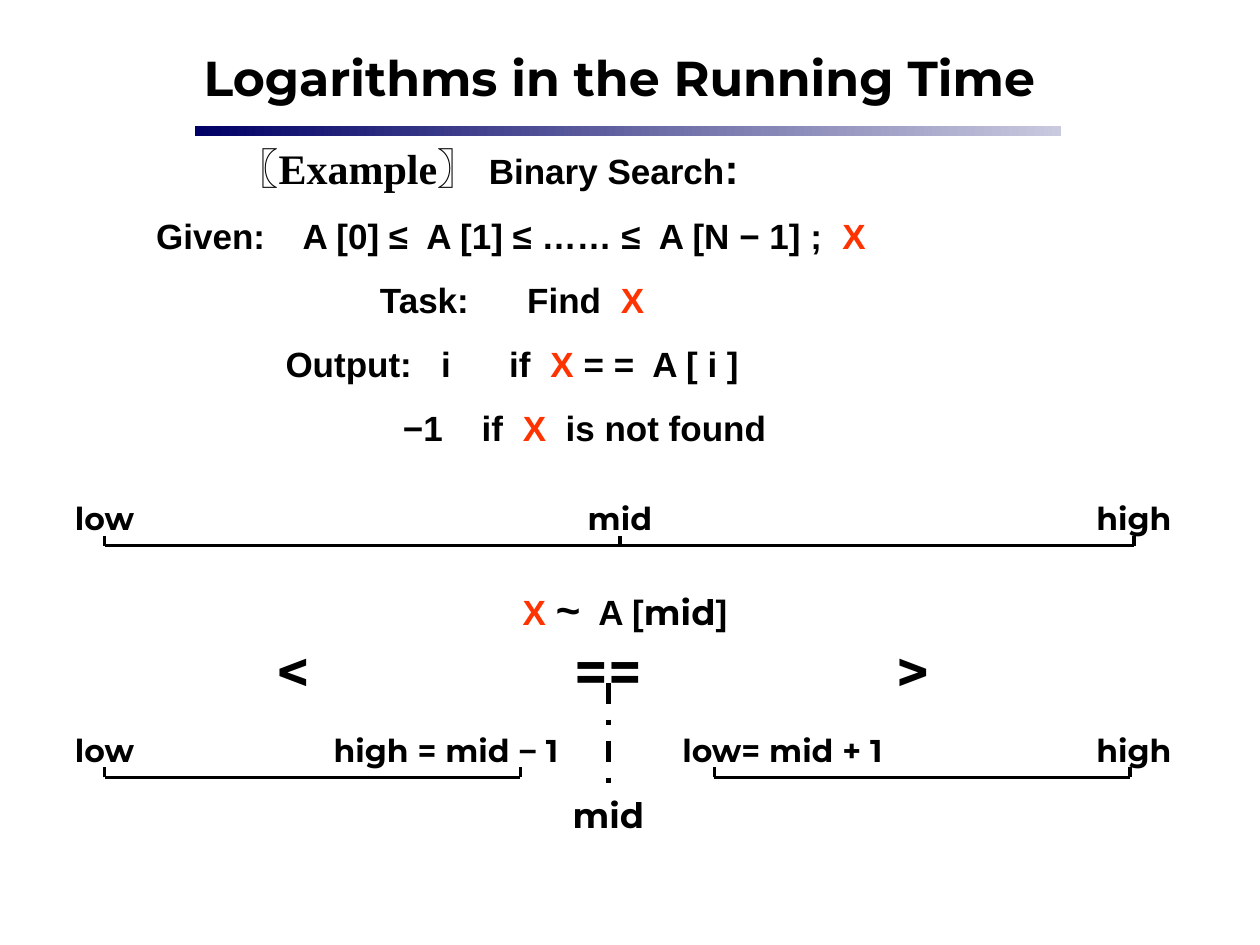
from lxml import etree
from pptx import Presentation
from pptx.dml.color import RGBColor
from pptx.enum.dml import MSO_LINE
from pptx.enum.shapes import MSO_CONNECTOR, MSO_SHAPE
from pptx.enum.text import MSO_ANCHOR, MSO_AUTO_SIZE, PP_ALIGN
from pptx.oxml.ns import qn
from pptx.util import Inches, Pt

STRAIGHT = MSO_CONNECTOR.STRAIGHT
RECTANGLE = MSO_SHAPE.RECTANGLE
DASH_DOT = MSO_LINE.DASH_DOT
TOP = MSO_ANCHOR.TOP
NO_AUTOFIT = MSO_AUTO_SIZE.NONE
CENTER = PP_ALIGN.CENTER

HEADING, BODY, SERIF = "Montserrat", "Arial", "Times New Roman"
BLACK, RED = "000000", "FF3300"
NAVY, PALE = "000066", "C9C9DF"
TICK = 0.08
LABEL_RISE = 0.42


def plain(text, size=20, font=BODY, color=BLACK):
    return text, size, font, color


def heading(text, size=18):
    return plain(text, size, HEADING)


def key(text="X"):
    return plain(text, color=RED)


TITLE = [heading("Logarithms in the Running Time", 28)]

PROBLEM = [
    (0, 0, [plain("〖Example〗 ", 24, SERIF), plain("Binary Search"), plain(":", 24)]),
    (0.37, 12.5, [plain("Given:    A [0] ≤  A [1] ≤ …… ≤  A [N − 1] ;  "), key()]),
    (0.39, 12.5, [plain("Task:      Find  "), key()]),
    (0.39, 12.5, [plain("Output:   i      if  "), key("X "), plain("= =  A [ i ]")]),
    (1.54, 12.5, [plain("−1    if  "), key(), plain("  is not found")]),
]

RANGES = [
    (4.33, [
        (0.83, 0.83, 0.67, [heading("low")]),
        (4.92, 4.92, 0.75, [heading("mid")]),
        (9, 9, 0.67, [heading("high")]),
    ]),
    (6.17, [
        (0.83, 0.83, 0.67, [heading("low")]),
        (4.13, 3.54, 2.08, [heading("high = mid "), plain("−", 18), heading(" 1")]),
    ]),
    (6.17, [
        (5.67, 6.21, 2.08, [heading("low= mid + 1")]),
        (8.97, 9, 0.67, [heading("high")]),
    ]),
]

COMPARISON = [key("X "), plain("~", 24), plain("  A ["), heading("mid", 20), plain("]")]
OUTCOMES = [(2.33, "<"), (7.25, ">"), (4.83, "==")]
FOUND_X = 4.83


def rgb(value):
    return RGBColor.from_string(value)


def write(frame, paragraphs, inset=0):
    frame.word_wrap = True
    frame.auto_size = NO_AUTOFIT
    frame.vertical_anchor = TOP
    frame.margin_left = frame.margin_right = Inches(inset)
    frame.margin_top = frame.margin_bottom = Inches(0.05)
    for index, (indent, before, runs) in enumerate(paragraphs):
        paragraph = frame.add_paragraph() if index else frame.paragraphs[0]
        paragraph.alignment = CENTER
        paragraph.space_before = Pt(before)
        properties = paragraph._p.get_or_add_pPr()
        properties.set("marL", str(Inches(indent)))
        properties.set("indent", "0")
        for text, size, font, color in runs:
            run = paragraph.add_run()
            run.text = text
            run.font.size = Pt(size)
            run.font.name = font
            run.font.bold = True
            run.font.color.rgb = rgb(color)


def add_label(shapes, center, top, width, height, runs):
    label = shapes.add_textbox(Inches(center - width / 2), Inches(top),
                               Inches(width), Inches(height))
    write(label.text_frame, [(0, 0, runs)])


def add_line(shapes, x1, y1, x2, y2, weight=2):
    line = shapes.add_connector(STRAIGHT, Inches(x1), Inches(y1), Inches(x2), Inches(y2))
    line.line.color.rgb = rgb(BLACK)
    line.line.width = Pt(weight)
    etree.SubElement(line._element.spPr, qn("a:effectLst"))
    return line


def add_range(shapes, y, marks):
    group = shapes.add_group_shape().shapes
    add_line(group, marks[0][0], y, marks[-1][0], y)
    for x, center, width, runs in marks:
        add_line(group, x, y, x, y - TICK)
        add_label(group, center, y - LABEL_RISE, width, 0.4, runs)


def main():
    deck = Presentation()
    deck.slide_width, deck.slide_height = Inches(10), Inches(7.5)
    slide = deck.slides.add_slide(deck.slide_layouts[5])
    shapes = slide.shapes

    title = shapes.title
    title.left, title.top = Inches(1.33), Inches(0.33)
    title.width, title.height = Inches(7.17), Inches(0.57)
    write(title.text_frame, [(0, 0, TITLE)], 0.1)

    rule = shapes.add_shape(RECTANGLE, Inches(1.55), Inches(1), Inches(6.87), Inches(0.08))
    rule.shadow.inherit = False
    rule.line.fill.background()
    rule.fill.gradient()
    rule.fill.gradient_angle = 0
    for stop, position, color in zip(rule.fill.gradient_stops, (0, 1), (NAVY, PALE)):
        stop.position = position
        stop.color.rgb = rgb(color)

    problem = shapes.add_textbox(Inches(0.58), Inches(1.08), Inches(6.58), Inches(2.6))
    write(problem.text_frame, PROBLEM, 0.1)

    for y, marks in RANGES:
        add_range(shapes, y, marks)

    add_label(shapes, 4.96, 4.58, 3.75, 0.5, COMPARISON)
    for center, sign in OUTCOMES:
        add_label(shapes, center, 5, 1, 0.64, [heading(sign, 32)])
    found = add_line(shapes, FOUND_X, 5.42, FOUND_X, 6.25, 3)
    found.line.dash_style = DASH_DOT
    add_label(shapes, FOUND_X, 6.25, 1, 0.44, [heading("mid", 20)])

    deck.save("out.pptx")


if __name__ == "__main__":
    main()
